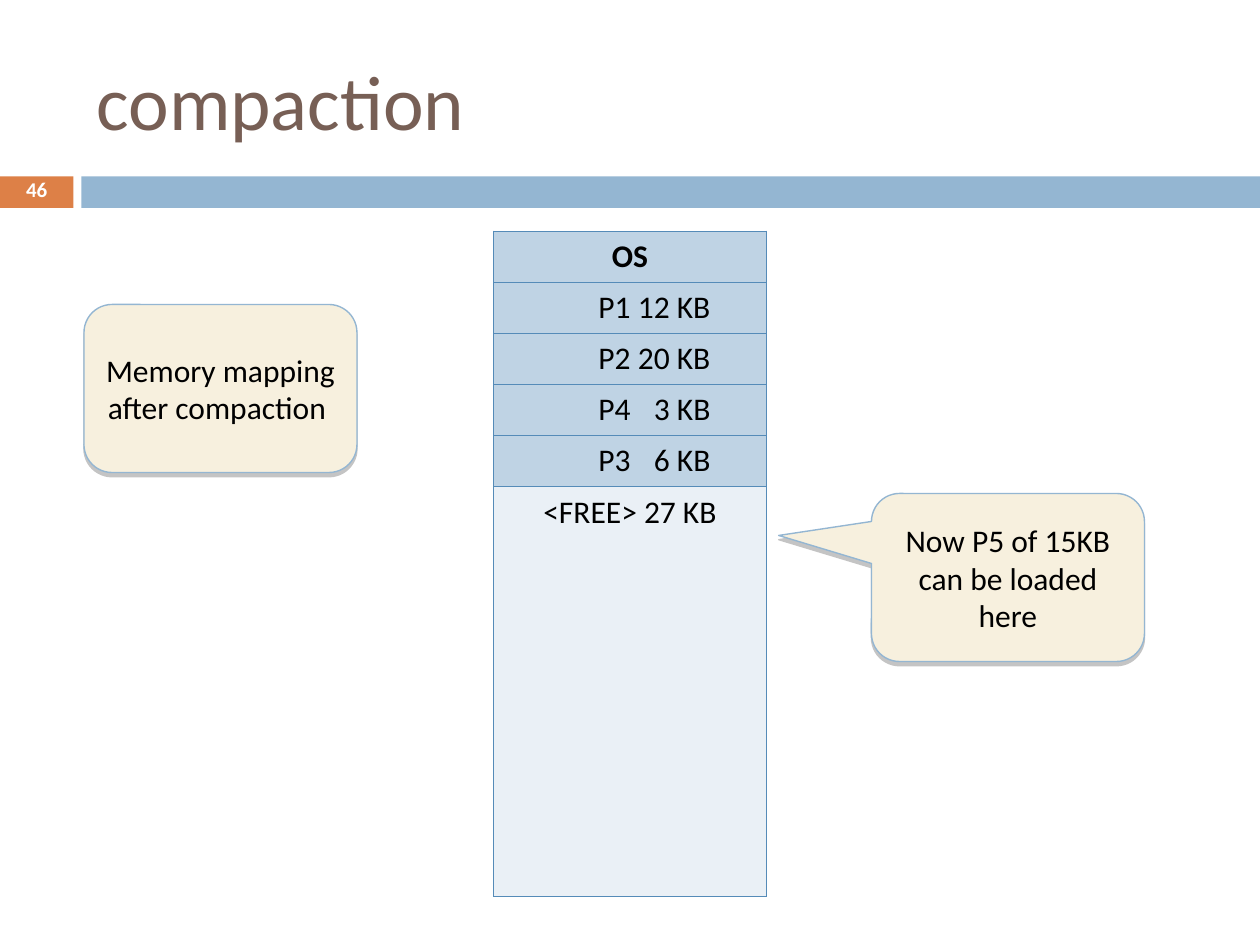
from lxml.etree import SubElement
from pptx import Presentation
from pptx.dml.color import RGBColor
from pptx.enum.shapes import MSO_SHAPE
from pptx.enum.text import MSO_ANCHOR, PP_ALIGN
from pptx.oxml import parse_xml
from pptx.oxml.ns import nsdecls, qn
from pptx.util import Pt

FONT = "Calibri"
EDGE = "558BB8"
ROWS = ["OS", "P1\t12 KB", "P2\t20 KB", "P4\t3 KB", "P3\t6 KB", "<FREE> 27 KB"]
COUNT = 13
USED = 5


def color(code):
    """Turn a hex string into a colour."""
    return RGBColor.from_string(code)


def paint(item, code):
    """Give a shape or cell a solid fill."""
    item.fill.solid()
    item.fill.fore_color.rgb = color(code)


def style(para, size, code, bold=False, align=PP_ALIGN.CENTER):
    """Format a paragraph and its runs."""
    para.alignment = align
    for run in para.runs:
        run.font.name = FONT
        run.font.size = Pt(size)
        run.font.bold = bold
        run.font.color.rgb = color(code)


def add_title(slide, text):
    """Fill and place the title."""
    title = slide.shapes.title
    title.left, title.top, title.width, title.height = Pt(48), Pt(18), Pt(642), Pt(78)
    title.text_frame.text = text
    title.text_frame.vertical_anchor = MSO_ANCHOR.MIDDLE
    style(title.text_frame.paragraphs[0], 44, "775F55", align=PP_ALIGN.LEFT)


def add_bar(slide, left, width, code):
    """Add one part of the band below the title."""
    bar = slide.shapes.add_shape(MSO_SHAPE.RECTANGLE, Pt(left), Pt(100.8), Pt(width), Pt(18))
    bar.shadow.inherit = False
    paint(bar, code)
    bar.line.fill.background()


def add_number(slide, text):
    """Add the slide number over the band."""
    box = slide.shapes.add_textbox(Pt(0), Pt(100), Pt(42), Pt(19.2))
    frame = box.text_frame
    frame.word_wrap = True
    frame.vertical_anchor = MSO_ANCHOR.MIDDLE
    frame.text = text
    frame.paragraphs[0].line_spacing = 0.8
    style(frame.paragraphs[0], 12, "FFFFFF", True)


def add_edges(cell, sides):
    """Draw the named cell borders and clear the others."""
    props = cell._tc.get_or_add_tcPr()
    for spot, side in enumerate("LRTB"):
        fill = f'<a:solidFill><a:srgbClr val="{EDGE}"/></a:solidFill>' if side in sides else "<a:noFill/>"
        line = parse_xml(f'<a:ln{side} {nsdecls("a")} w="{Pt(0.45)}">{fill}</a:ln{side}>')
        props.insert(spot, line)


def add_tab(para, place):
    """Add a right tab stop."""
    tabs = SubElement(para._p.get_or_add_pPr(), qn("a:tabLst"))
    SubElement(tabs, qn("a:tab"), pos=str(Pt(place)), algn="r")


def fill_cell(cell, text):
    """Write a memory block, with its size set on a tab."""
    cell.text_frame.text = text
    para = cell.text_frame.paragraphs[0]
    tabbed = "\t" in text
    if tabbed:
        cell.margin_left = Pt(60)
        add_tab(para, 64)
    style(para, 18, "000000", text == "OS", PP_ALIGN.LEFT if tabbed else PP_ALIGN.CENTER)


def add_memory(slide):
    """Add the memory map table."""
    high = 29.25
    frame = slide.shapes.add_table(COUNT, 1, Pt(282), Pt(132), Pt(156), Pt(COUNT * high))
    table = frame.table
    table.first_row = table.horz_banding = False
    for row in range(COUNT):
        table.rows[row].height = Pt(high)
        cell = table.cell(row, 0)
        paint(cell, "BFD3E4" if row < USED else "EAF0F6")
        top = "T" if row <= USED else ""
        base = "B" if row < USED or row == COUNT - 1 else ""
        add_edges(cell, "LR" + top + base)
        if row < len(ROWS):
            fill_cell(cell, ROWS[row])


def add_shadow(shape):
    """Add a grey shadow below a shape."""
    shape.shadow.inherit = False
    effect = shape._element.spPr.find(qn("a:effectLst"))
    shade = SubElement(effect, qn("a:outerShdw"), dist=str(Pt(2.4)), dir="5400000", rotWithShape="0")
    tone = SubElement(shade, qn("a:srgbClr"), val="808080")
    SubElement(tone, qn("a:alpha"), val="45000")


def add_callout(slide, left, top, tail, text):
    """Add a callout whose tail ends at the given point."""
    note = slide.shapes.add_shape(
        MSO_SHAPE.ROUNDED_RECTANGULAR_CALLOUT, Pt(left), Pt(top), Pt(156), Pt(96))
    note.adjustments[0], note.adjustments[1] = tail
    paint(note, "F7F0DE")
    note.line.color.rgb = color("94B6D2")
    note.line.width = Pt(0.79)
    add_shadow(note)
    frame = note.text_frame
    frame.word_wrap = True
    frame.vertical_anchor = MSO_ANCHOR.MIDDLE
    frame.text = text
    style(frame.paragraphs[0], 18, "000000")


def main():
    """Build and save the slide."""
    deck = Presentation()
    deck.slide_width, deck.slide_height = Pt(720), Pt(540)
    slide = deck.slides.add_slide(deck.slide_layouts[5])
    add_bar(slide, 0, 42, "DD8047")
    add_bar(slide, 46.5, 673.5, "94B6D2")
    add_title(slide, "compaction")
    add_memory(slide)
    add_callout(slide, 48, 174, (0.24, 0.5), "Memory mapping after compaction ")
    add_callout(slide, 498, 282, (-0.84, -0.25), "Now P5 of 15KB can be loaded here")
    add_number(slide, "46")
    deck.save("out.pptx")


if __name__ == "__main__":
    main()
